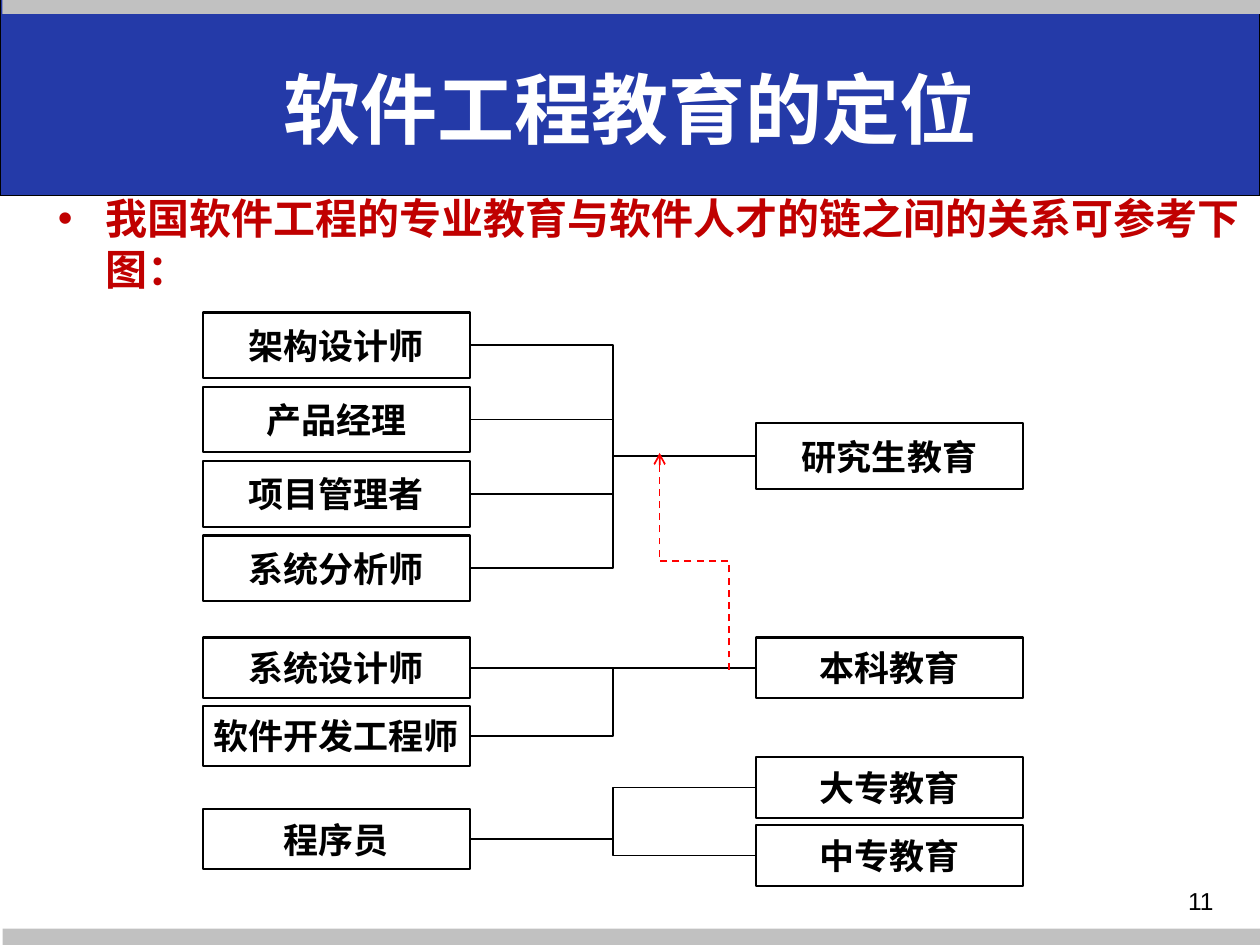
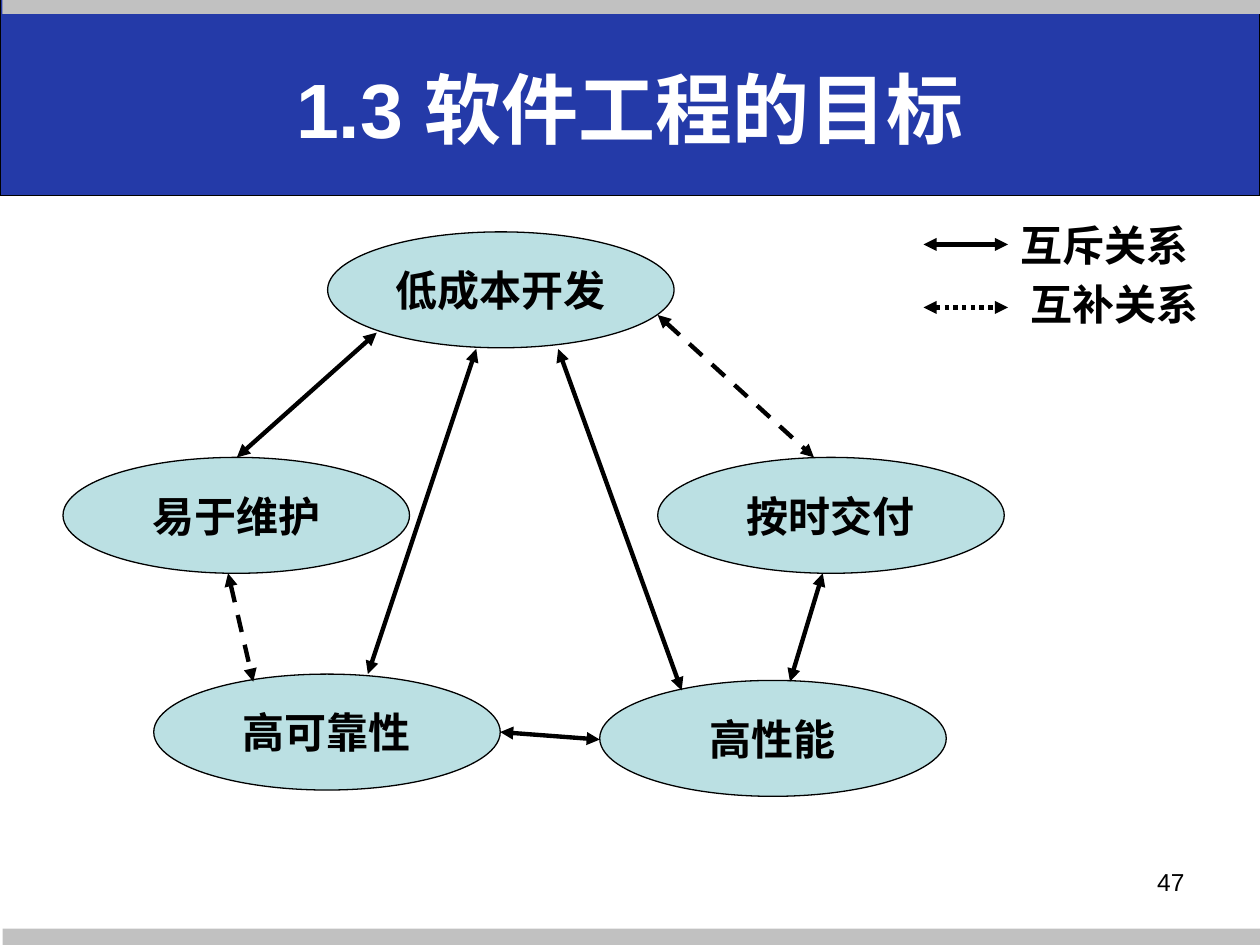
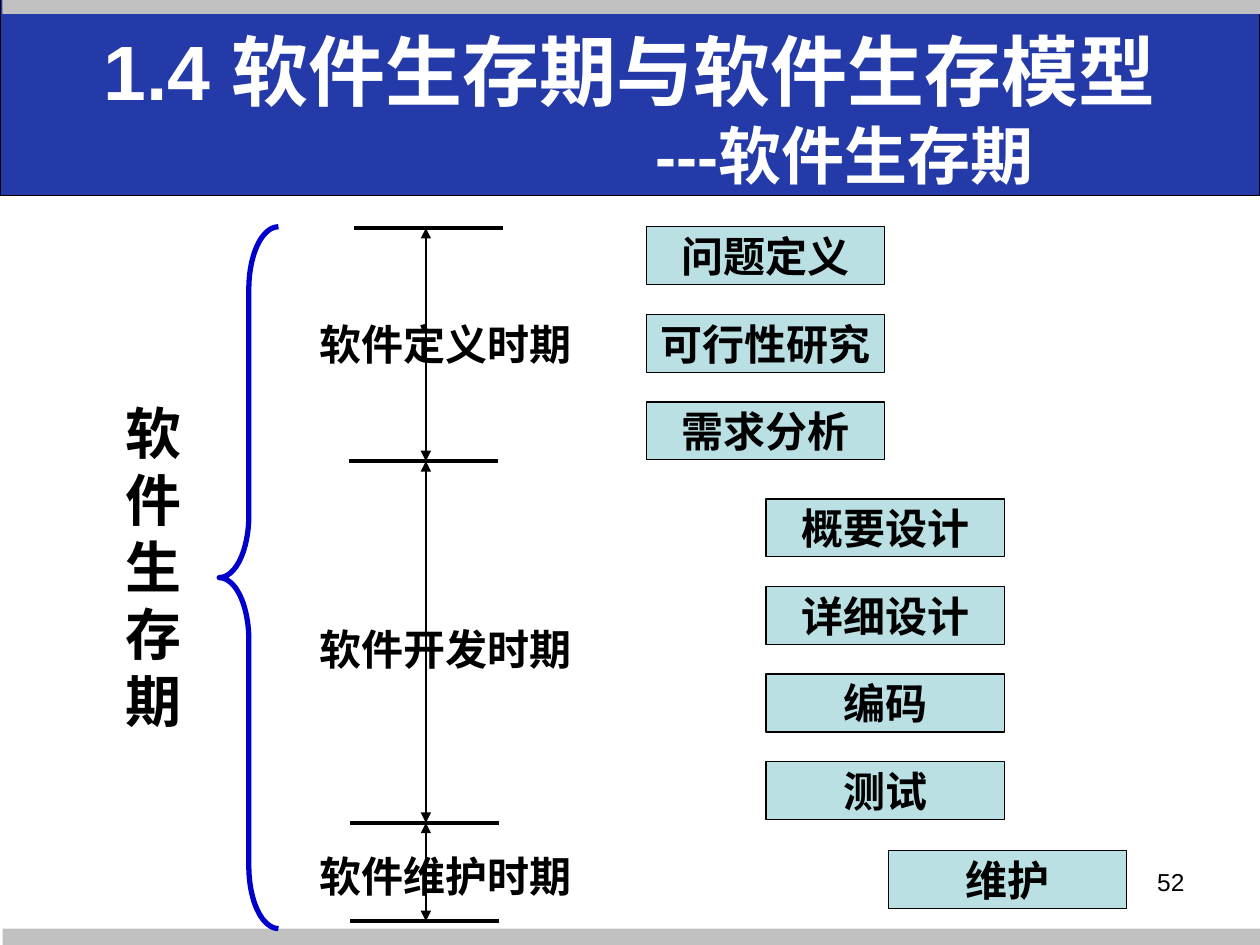
import pptx
import pptx.dml.color
import pptx.enum.dml
import pptx.enum.shapes
import pptx.enum.text
import pptx.oxml
import pptx.oxml.ns
import pptx.util
from lxml import etree

Inches, Pt = pptx.util.Inches, pptx.util.Pt
RGBColor = pptx.dml.color.RGBColor
SHAPE = pptx.enum.shapes.MSO_SHAPE
CONNECTOR = pptx.enum.shapes.MSO_CONNECTOR
DASH = pptx.enum.dml.MSO_LINE
ALIGN = pptx.enum.text.PP_ALIGN
ANCHOR = pptx.enum.text.MSO_ANCHOR
AUTO_SIZE = pptx.enum.text.MSO_AUTO_SIZE
qn = pptx.oxml.ns.qn

BLUE = RGBColor(0x24, 0x3A, 0xA8)
GREY = RGBColor(0xC1, 0xC1, 0xC1)
PALE = RGBColor(0xBB, 0xE0, 0xE3)
BRACE_BLUE = RGBColor(0x00, 0x00, 0xCC)
DARK_RED = RGBColor(0xC0, 0x00, 0x00)
RED = RGBColor(0xFF, 0x00, 0x00)
BLACK = RGBColor(0, 0, 0)
WHITE = RGBColor(0xFF, 0xFF, 0xFF)
LATIN, CJK = "Arial", "Noto Sans CJK SC"

TITLE_ONLY, TITLE_AND_BODY = 5, 1


class Deck:
    def __init__(self):
        self.prs = pptx.Presentation()
        self.prs.slide_width, self.prs.slide_height = Inches(10), Inches(7.5)
        self.s = None

    def slide(self, layout, *title):
        """Start a slide; title holds (text, size, left indent) lines."""
        first = self.s is None
        self.s = self.prs.slides.add_slide(self.prs.slide_layouts[layout])
        if first:
            self.master_bands()
        sp = self.s.shapes.title
        self.place(sp, 0.5, 0.23, 9, 1.25)
        sp.text_frame.vertical_anchor = ANCHOR.MIDDLE
        self.text(sp, [line for line, _, _ in title], color=WHITE, fixed=len(title) > 1)
        for p, (_, size, indent) in zip(sp.text_frame.paragraphs, title):
            p.runs[0].font.size = Pt(size)
            if len(title) > 1:
                p.line_spacing = Pt(1.2 * size)
            if indent:
                pPr = p.runs[0].font and sp.element.findall(".//" + qn("a:pPr"))[-1]
                pPr.set("marL", str(Inches(indent)))
                pPr.set("indent", "0")

    def master_bands(self):
        """Draw the bands and put them behind everything on the master."""
        bands = [((0, -0.02, 10, 1.57), BLUE, 0.75),
                 ((0.02, 7.37, 9.98, 0.13), GREY, 0),
                 ((0.02, -0.01, 10, 0.12), GREY, 0)]
        tree = self.prs.slide_master.element.cSld.spTree
        for i, (at, fill, width) in enumerate(bands):
            tree.insert(2 + i, self.shape(SHAPE.RECTANGLE, at, fill, width).element)

    def place(self, sp, *at):
        for name, value in zip(("left", "top", "width", "height"), at):
            setattr(sp, name, Inches(value))

    def text(self, sp, lines, size=24, color=BLACK, font=LATIN, bold=True,
             align=ALIGN.CENTER, wrap=True, fixed=False):
        tf = sp.text_frame
        tf.auto_size, tf.word_wrap = AUTO_SIZE.NONE, wrap
        for i, line in enumerate(lines):
            p = tf.add_paragraph() if i else tf.paragraphs[0]
            p.alignment, p.space_before = align, Pt(0)
            if fixed:
                p.line_spacing = Pt(1.2 * size)
            r = p.add_run()
            r.text = line
            for name, value in dict(size=Pt(size), bold=bold, name=font).items():
                setattr(r.font, name, value)
            r.font.color.rgb = color
        for rPr in sp.element.iter(qn("a:rPr")):
            etree.SubElement(rPr, qn("a:ea"), typeface=CJK)

    def body(self, line, *at):
        sp = self.s.placeholders[1]
        self.place(sp, *at)
        self.text(sp, [line], color=DARK_RED, font=CJK, align=ALIGN.LEFT, fixed=True)

    def label(self, lines, *at, **style):
        sp = self.s.shapes.add_textbox(*map(Inches, at))
        self.text(sp, lines, **style)

    def page_number(self, number, *at):
        self.label([number], *at, size=14, bold=False, align=ALIGN.RIGHT)

    def shape(self, kind, at, fill=None, width=0.75, color=BLACK):
        sp = self.s.shapes.add_shape(kind, *map(Inches, at))
        sp.shadow.inherit = False
        if fill is None:
            sp.fill.background()
        else:
            sp.fill.solid()
            sp.fill.fore_color.rgb = fill
        if width:
            sp.line.width, sp.line.color.rgb = Pt(width), color
        else:
            sp.line.fill.background()
        return sp

    def node(self, kind, line, at, fill=None, width=0.75, **style):
        sp = self.shape(kind, at, fill, width)
        sp.text_frame.vertical_anchor = ANCHOR.MIDDLE
        self.text(sp, [line], wrap=False, **style)
        return sp

    def line(self, start, end, width, color=BLACK, kind=CONNECTOR.STRAIGHT,
             dash=None, head=None, tail=None):
        c = self.s.shapes.add_connector(kind, *map(Inches, (*start, *end)))
        c.line.width, c.line.color.rgb = Pt(width), color
        if dash:
            c.line.dash_style = dash
        ln = c.element.spPr.find(qn("a:ln"))
        for tag, arrow in (("a:headEnd", head), ("a:tailEnd", tail)):
            if arrow:
                etree.SubElement(ln, qn(tag), type=arrow)
        etree.SubElement(c.element.spPr, qn("a:effectLst"))
        return c

    def double_arrow(self, start, end, width, dash=None):
        self.line(start, end, width, dash=dash, head="triangle", tail="triangle")

    def join(self, right, left):
        """Connect the left side of one box to the right side of another."""
        level = right.top + right.height // 2 == left.top + left.height // 2
        kind = CONNECTOR.STRAIGHT if level else CONNECTOR.ELBOW
        c = self.line((0, 0), (1, 1), 1, kind=kind)
        c.begin_connect(right, 1)
        c.end_connect(left, 3)


def education_slide(deck):
    deck.slide(TITLE_AND_BODY, ("软件工程教育的定位", 44, 0))
    deck.body("我国软件工程的专业教育与软件人才的链之间的关系可参考下图：",
              0.36, 1.48, 9.64, 1.01)
    deck.page_number("11", 6.56, 6.98, 3.17, 0.52)

    job_x, school_x = 1.61, 6
    jobs = [("架构设计师", 2.48, 0.52), ("产品经理", 3.07, 0.52),
            ("项目管理者", 3.66, 0.52), ("系统分析师", 4.25, 0.52),
            ("系统设计师", 5.06, 0.48), ("软件开发工程师", 5.6, 0.48),
            ("程序员", 6.42, 0.48)]
    schools = [("研究生教育", 3.36, 0.52), ("本科教育", 5.06, 0.48),
               ("大专教育", 6.01, 0.48), ("中专教育", 6.55, 0.48)]
    boxes = {}
    for x, column in ((job_x, jobs), (school_x, schools)):
        for name, y, h in column:
            boxes[name] = deck.node(SHAPE.RECTANGLE, name, (x, y, 2.12, h),
                                    width=1.25, size=20, font=CJK)
    links = {"研究生教育": jobs[:4], "本科教育": jobs[4:6],
             "大专教育": jobs[6:], "中专教育": jobs[6:]}
    for school, targets in links.items():
        for job, _, _ in targets:
            deck.join(boxes[school], boxes[job])

    promotion = deck.line((4.65, 4.73), (6.37, 4.18), 1, RED, CONNECTOR.ELBOW,
                          DASH.DASH, tail="arrow")
    promotion.element.spPr.find(qn("a:xfrm")).set("rot", str(270 * 60000))


def goals_slide(deck):
    deck.slide(TITLE_ONLY, ("1.3 软件工程的目标", 44, 0))
    goals = [("低成本开发", 2.6, 1.84), ("易于维护", 0.5, 3.63), ("按时交付", 5.22, 3.63),
             ("高可靠性", 1.22, 5.35), ("高性能", 4.76, 5.4)]
    for name, x, y in goals:
        deck.node(SHAPE.OVAL, name, (x, y, 2.75, 0.92), PALE)

    exclusive = [((1.88, 3.63), (2.99, 2.64)), ((3.78, 2.77), (2.92, 5.35)),
                 ((3.97, 5.81), (4.76, 5.87)), ((4.43, 2.77), (5.41, 5.48)),
                 ((6.27, 5.41), (6.53, 4.55))]
    complementary = [((1.81, 4.55), (2.01, 5.41)), ((5.22, 2.5), (6.46, 3.63))]
    for pairs, dash in ((exclusive, None), (complementary, DASH.DASH)):
        for start, end in pairs:
            deck.double_arrow(start, end, 2.5, dash)

    legend = [("互斥关系", 1.94, None, 8, 1.69),
              ("互补关系", 2.44, DASH.ROUND_DOT, 8.08, 2.16)]
    for name, y, dash, x, top in legend:
        deck.double_arrow((7.33, y), (8, y), 2.5, dash)
        deck.label([name], x, top, 1.75, 0.5, align=ALIGN.LEFT)
    deck.page_number("47", 7.17, 6.83, 2.33, 0.52)


def life_cycle_slide(deck):
    deck.slide(TITLE_ONLY, ("1.4 软件生存期与软件生存模型", 44, 0),
               ("---软件生存期", 36, 3.4))
    steps = [(5.13, 1.8, ["问题定义", "可行性研究", "需求分析"]),
             (6.08, 3.96, ["概要设计", "详细设计", "编码", "测试"]),
             (7.05, 6.75, ["维护"])]
    for x, top, names in steps:
        for i, name in enumerate(names):
            deck.node(SHAPE.RECTANGLE, name, (x, top + i * 0.695, 1.89, 0.46), PALE)

    bounds = [(2.81, 1.81), (2.77, 3.66), (2.78, 6.53), (2.78, 7.31)]
    for x, y in bounds:
        deck.line((x, y), (x + 1.18, y), 2.25)
    for (_, top), (_, bottom) in zip(bounds, bounds[1:]):
        deck.double_arrow((3.38, top), (3.38, bottom), 0.75)
    for name, y in (("软件定义时期", 2.48), ("软件开发时期", 4.9), ("软件维护时期", 6.7)):
        deck.label([name], 2.42, y, 2.23, 0.5, font=CJK, wrap=False)

    brace = deck.shape(SHAPE.LEFT_BRACE, (1.74, 1.8, 0.47, 5.57), None, 3, BRACE_BLUE)
    brace.adjustments[0], brace.adjustments[1] = 1.05, 0.5
    deck.label(list("软件生存期"), 0.9, 3.11, 0.65, 2.79, size=32,
               align=ALIGN.LEFT, wrap=False, fixed=True)
    deck.page_number("52", 7.17, 6.83, 2.33, 0.52)


def main():
    deck = Deck()
    education_slide(deck)
    goals_slide(deck)
    life_cycle_slide(deck)
    deck.prs.save("out.pptx")


if __name__ == "__main__":
    main()
